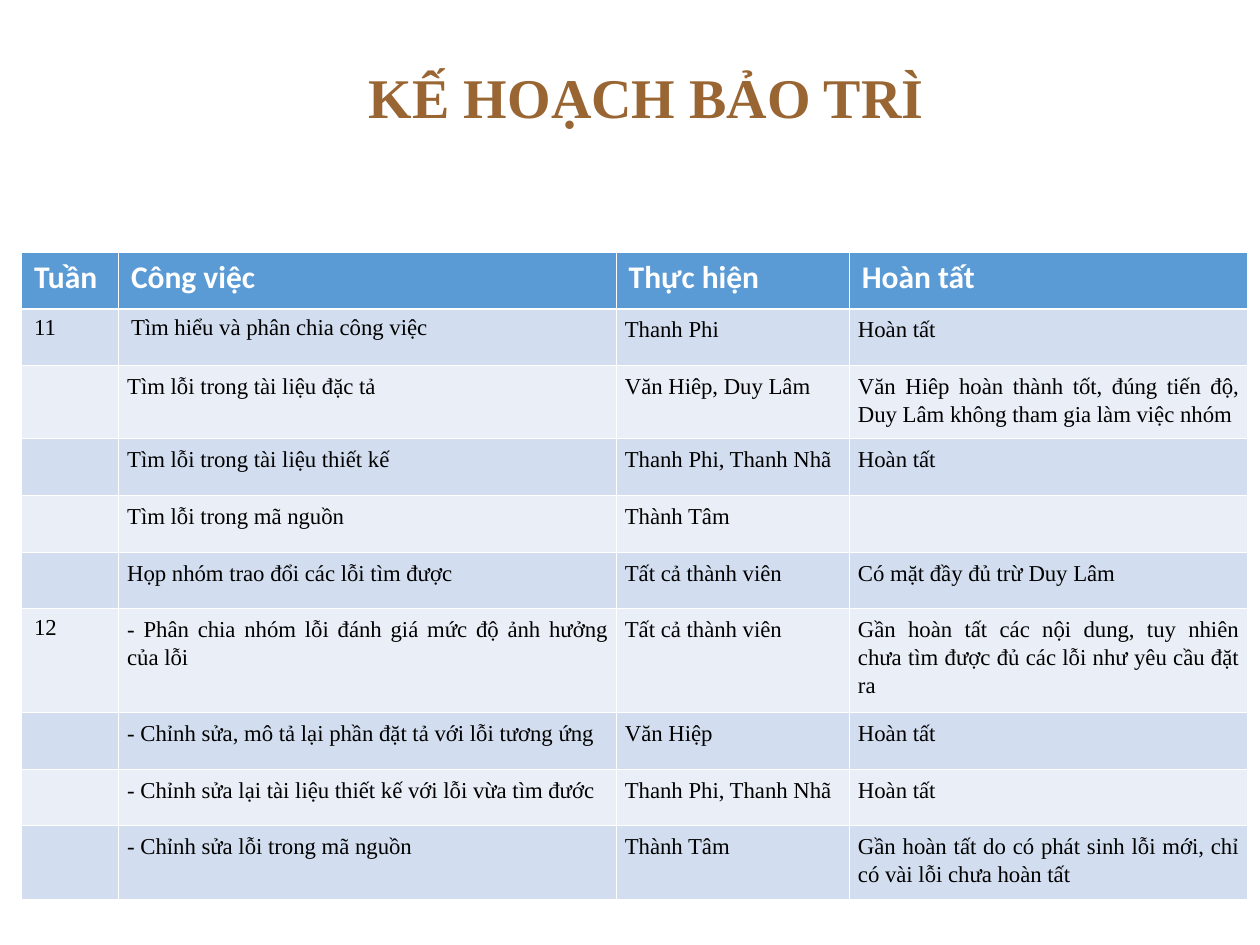
"""Build the maintenance plan slide with its title and weekly task table."""
from dataclasses import dataclass

from lxml.etree import SubElement
from pptx import Presentation
from pptx.dml.color import RGBColor
from pptx.enum.text import MSO_ANCHOR, PP_ALIGN
from pptx.oxml.ns import qn
from pptx.util import Inches, Pt


@dataclass(frozen=True)
class Theme:
    brown: str = "996633"
    blue: str = "5B9BD5"
    bands: tuple = ("D2DEEF", "EAEFF7")
    white: str = "FFFFFF"
    black: str = "000000"
    serif: str = "Times New Roman"
    sans: str = "Calibri"
    title: float = 32
    head: float = 18
    body: float = 13
    thin: float = 0.45
    thick: float = 1.47


THEME = Theme()
COLS = (0.77, 3.95, 1.85, 3.16)
HEIGHTS = (0.45, 0.45, 0.53, 0.45, 0.45, 0.45, 0.8, 0.45, 0.45, 0.53)
ROWS = (
    ("Tuần", "Công việc", "Thực hiện", "Hoàn tất"),
    ("11", "Tìm hiểu và phân chia công việc", "Thanh Phi", "Hoàn tất"),
    ("", "Tìm lỗi trong tài liệu đặc tả", "Văn Hiêp, Duy Lâm",
     "Văn Hiêp hoàn thành tốt, đúng tiến độ, Duy Lâm không tham gia làm việc nhóm"),
    ("", "Tìm lỗi trong tài liệu thiết kế", "Thanh Phi, Thanh Nhã", "Hoàn tất"),
    ("", "Tìm lỗi trong mã nguồn", "Thành Tâm", ""),
    ("", "Họp nhóm trao đổi các lỗi tìm được", "Tất cả thành viên",
     "Có mặt đầy đủ trừ Duy Lâm"),
    ("12", "- Phân chia nhóm lỗi đánh giá mức độ ảnh hưởng của lỗi", "Tất cả thành viên",
     "Gần hoàn tất các nội dung, tuy nhiên chưa tìm được đủ các lỗi như yêu cầu đặt ra"),
    ("", "- Chỉnh sửa, mô tả lại phần đặt tả với lỗi tương ứng", "Văn Hiệp", "Hoàn tất"),
    ("", "- Chỉnh sửa lại tài liệu thiết kế với lỗi vừa tìm đước", "Thanh Phi, Thanh Nhã",
     "Hoàn tất"),
    ("", "- Chỉnh sửa lỗi trong mã nguồn", "Thành Tâm",
     "Gần hoàn tất do có phát sinh lỗi mới, chỉ có vài lỗi chưa hoàn tất"),
)


def add_run(para, text, font, size, color, bold=False):
    """Add one styled run to a paragraph."""
    run = para.add_run()
    run.text = text
    run.font.name = font
    run.font.size = Pt(size)
    run.font.bold = bold
    run.font.color.rgb = RGBColor.from_string(color)


def add_title(slide, text):
    """Add the centred slide title."""
    box = slide.shapes.add_textbox(Inches(1.42), Inches(0.25), Inches(7.42), Inches(1.03))
    frame = box.text_frame
    frame.word_wrap = True
    frame.vertical_anchor = MSO_ANCHOR.MIDDLE
    para = frame.paragraphs[0]
    para.alignment = PP_ALIGN.CENTER
    add_run(para, text, THEME.serif, THEME.title, THEME.brown, True)


def set_edges(cell, row):
    """Draw white cell borders, thicker under the header."""
    props = cell._tc.get_or_add_tcPr()
    heavy = {0: "B", 1: "T"}.get(row)
    for side in "LRTB":
        width = THEME.thick if side == heavy else THEME.thin
        line = SubElement(props, qn(f"a:ln{side}"), w=str(Pt(width)))
        fill = SubElement(line, qn("a:solidFill"))
        SubElement(fill, qn("a:srgbClr"), val=THEME.white)


def fill_cell(cell, text, row, col):
    """Style one cell and write its text."""
    set_edges(cell, row)
    color = THEME.bands[(row - 1) % 2] if row else THEME.blue
    cell.fill.solid()
    cell.fill.fore_color.rgb = RGBColor.from_string(color)
    if not text:
        return
    para = cell.text_frame.paragraphs[0]
    if row == 0:
        add_run(para, text, THEME.sans, THEME.head, THEME.white, True)
        return
    add_run(para, text, THEME.serif, THEME.body, THEME.black)
    if col > 1 or (col == 1 and row > 1):
        cell.margin_left = cell.margin_right = Inches(0.07)
        para.alignment = PP_ALIGN.JUSTIFY
        para.line_spacing = 1.11


def add_plan(slide):
    """Add the weekly task table."""
    frame = slide.shapes.add_table(len(ROWS), len(COLS), Inches(0.17), Inches(2),
                                   Inches(sum(COLS)), Inches(sum(HEIGHTS)))
    table = frame.table
    table.horz_banding = False
    for col, width in zip(table.columns, COLS):
        col.width = Inches(width)
    for row, height in zip(table.rows, HEIGHTS):
        row.height = Inches(height)
    for row, texts in enumerate(ROWS):
        for col, text in enumerate(texts):
            fill_cell(table.cell(row, col), text, row, col)


def main():
    """Build and save the slide."""
    deck = Presentation()
    deck.slide_width, deck.slide_height = Inches(10), Inches(7.5)
    slide = deck.slides.add_slide(deck.slide_layouts[6])
    add_title(slide, "KẾ HOẠCH BẢO TRÌ")
    add_plan(slide)
    deck.save("out.pptx")


if __name__ == "__main__":
    main()
